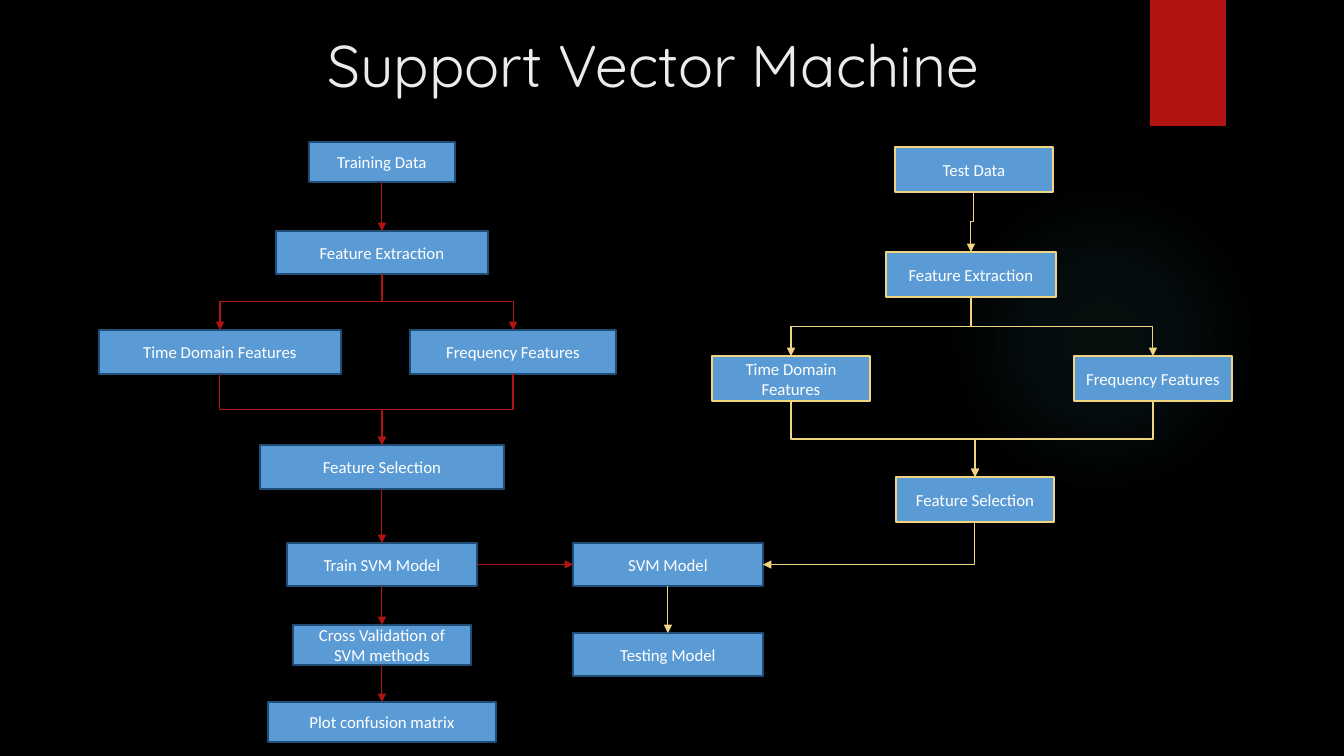
from pptx import Presentation
from pptx.dml.color import RGBColor
from pptx.enum.shapes import MSO_CONNECTOR, MSO_SHAPE
from pptx.enum.text import MSO_ANCHOR, MSO_AUTO_SIZE, PP_ALIGN
from pptx.oxml import parse_xml
from pptx.oxml.ns import nsdecls, qn
from pptx.oxml.xmlchemy import OxmlElement
from pptx.util import Pt

RECTANGLE, OVAL = MSO_SHAPE.RECTANGLE, MSO_SHAPE.OVAL
STRAIGHT, ELBOW = MSO_CONNECTOR.STRAIGHT, MSO_CONNECTOR.ELBOW
LEFT, CENTER = PP_ALIGN.LEFT, PP_ALIGN.CENTER
TOP, MIDDLE = MSO_ANCHOR.TOP, MSO_ANCHOR.MIDDLE

BLACK = RGBColor(0x00, 0x00, 0x00)
WHITE = RGBColor(0xFF, 0xFF, 0xFF)
PALE = RGBColor(0xEB, 0xEB, 0xEB)
RED = RGBColor(0xB0, 0x15, 0x13)
BLUE = RGBColor(0x5B, 0x9B, 0xD5)
NAVY = RGBColor(0x1F, 0x4D, 0x78)
YELLOW = RGBColor(0xF0, 0xD4, 0x7F)

PX = 12192000 / 1344  # EMU in one px


def write_text(shape, text, font="Calibri", size=12, color=WHITE,
               align=CENTER, anchor=MIDDLE):
    frame = shape.text_frame
    frame.word_wrap = True
    frame.auto_size = MSO_AUTO_SIZE.NONE
    frame.vertical_anchor = anchor
    para = frame.paragraphs[0]
    para.alignment = align
    span = para.add_run()
    span.text = text
    span.font.name = font
    span.font.size = Pt(size)
    span.font.color.rgb = color


def connect(begin, end, color, begin_side=2, end_side=0):
    aligned = abs(begin.left + begin.width / 2 - end.left - end.width / 2) < PX
    straight = aligned or begin.top == end.top
    arrow = page.shapes.add_connector(STRAIGHT if straight else ELBOW, 0, 0, 0, 0)
    arrow.begin_connect(begin, begin_side)
    arrow.end_connect(end, end_side)
    arrow.line.color.rgb = color
    arrow.line.width = Pt(0.75)
    properties = arrow.element.spPr
    head = OxmlElement("a:tailEnd")
    head.set("type", "triangle")
    properties.find(qn("a:ln")).append(head)
    properties.append(OxmlElement("a:effectLst"))
    if straight:
        return
    # Turn the elbow a quarter so that it leaves downwards
    across, down = arrow.end_x - arrow.begin_x, arrow.end_y - arrow.begin_y
    middle_x = (arrow.begin_x + arrow.end_x) // 2
    middle_y = (arrow.begin_y + arrow.end_y) // 2
    arrow.width, arrow.height = down, abs(across)
    arrow.left, arrow.top = middle_x - down // 2, middle_y - abs(across) // 2
    frame = properties.find(qn("a:xfrm"))
    frame.set("rot", "16200000" if across > 0 else "5400000")
    frame.set("flipH", "1" if across > 0 else "0")
    frame.set("flipV", "0")
    if end_side != 0:
        properties.find(qn("a:prstGeom")).set("prst", "bentConnector2")


deck = Presentation()
deck.slide_width, deck.slide_height = round(1344 * PX), round(756 * PX)
page = deck.slides.add_slide(deck.slide_layouts[5])
page.background.fill.solid()
page.background.fill.fore_color.rgb = BLACK

# Background glow and red tab
glow = page.shapes.add_shape(
    OVAL, *[round(n * PX) for n in (948, 184, 310, 310)])
stops = "".join(
    f'<a:gs pos="{place}000"><a:srgbClr val="50B9C1"><a:alpha val="{alpha}000"/>'
    "</a:srgbClr></a:gs>" for place, alpha in ((0, 7), (36, 6), (69, 0)))
glow.element.spPr.insert(2, parse_xml(
    f'<a:gradFill {nsdecls("a")}><a:gsLst>{stops}</a:gsLst><a:path path="circle">'
    '<a:fillToRect l="50000" t="50000" r="50000" b="50000"/></a:path></a:gradFill>'))
tab = page.shapes.add_shape(
    RECTANGLE, *[round(n * PX) for n in (1150, 0, 76, 126)])
tab.fill.solid()
tab.fill.fore_color.rgb = RED
for ornament in (glow, tab):
    ornament.line.fill.background()
    ornament.shadow.inherit = False

# Title
title = page.shapes.title
title.left, title.top, title.width, title.height = [
    round(n * PX) for n in (317, 24, 739, 96)]
write_text(title, "Support Vector Machine", font="Quicksand", size=42,
           color=PALE, align=LEFT, anchor=TOP)

# Boxes: name, text, centre x, top, width, height, outline
steps = [
    ("training", "Training Data", 382, 142, 146, 40, NAVY),
    ("train extraction", "Feature Extraction", 382, 231, 212, 43, NAVY),
    ("train time", "Time Domain Features", 220, 330, 242, 44, NAVY),
    ("train frequency", "Frequency Features", 513, 330, 206, 44, NAVY),
    ("train selection", "Feature Selection", 382, 445, 244, 44, NAVY),
    ("train model", "Train SVM Model", 382, 543, 190, 43, NAVY),
    ("validation", "Cross Validation of SVM methods", 382, 625, 178, 40, NAVY),
    ("plot", "Plot confusion matrix", 382, 702, 228, 40, NAVY),
    ("model", "SVM Model", 668, 543, 190, 43, NAVY),
    ("testing", "Testing Model", 668, 633, 190, 43, NAVY),
    ("test", "Test Data", 974, 147, 158, 45, YELLOW),
    ("test extraction", "Feature Extraction", 971, 252, 170, 45, YELLOW),
    ("test time", "Time Domain Features", 791, 356, 158, 45, YELLOW),
    ("test frequency", "Frequency Features", 1153, 356, 158, 45, YELLOW),
    ("test selection", "Feature Selection", 975, 477, 158, 45, YELLOW),
]
boxes = {}
for name, text, center, top, width, height, outline in steps:
    box = page.shapes.add_shape(RECTANGLE, *[
        round(n * PX) for n in (center - width / 2, top, width, height)])
    box.shadow.inherit = False
    box.fill.solid()
    box.fill.fore_color.rgb = BLUE
    box.line.color.rgb = outline
    box.line.width = Pt(1)
    write_text(box, text)
    boxes[name] = box

# Both branches: data, extraction, two feature kinds, selection
for branch, data, color in (("train", "training", RED), ("test", "test", YELLOW)):
    extraction, selection = boxes[f"{branch} extraction"], boxes[f"{branch} selection"]
    connect(boxes[data], extraction, color)
    for kind in ("time", "frequency"):
        features = boxes[f"{branch} {kind}"]
        connect(extraction, features, color)
        connect(features, selection, color)

# Training, validation and testing of the model
connect(boxes["train selection"], boxes["train model"], RED)
connect(boxes["train model"], boxes["validation"], RED)
connect(boxes["validation"], boxes["plot"], RED)
connect(boxes["train model"], boxes["model"], RED, begin_side=3, end_side=1)
connect(boxes["test selection"], boxes["model"], YELLOW, end_side=3)
connect(boxes["model"], boxes["testing"], YELLOW)

deck.save("out.pptx")
